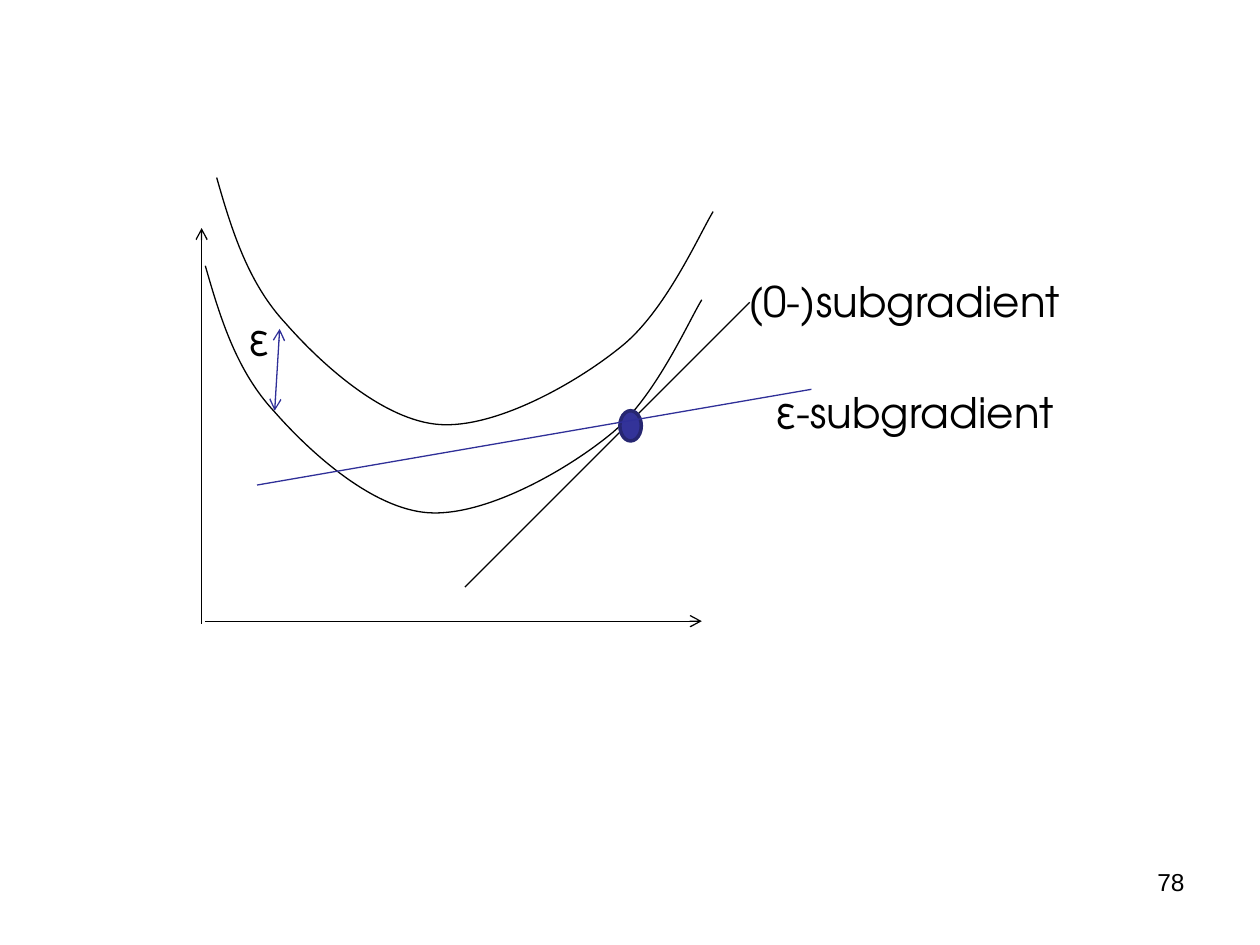
from lxml import etree
from pptx import Presentation
from pptx.dml.color import RGBColor
from pptx.enum.shapes import MSO_CONNECTOR, MSO_SHAPE
from pptx.enum.text import PP_ALIGN
from pptx.oxml.ns import qn
from pptx.util import Inches, Pt

STRAIGHT = MSO_CONNECTOR.STRAIGHT
DOT = MSO_SHAPE.FLOWCHART_CONNECTOR
LEFT, RIGHT = PP_ALIGN.LEFT, PP_ALIGN.RIGHT

BLACK = RGBColor(0x00, 0x00, 0x00)
BLUE = RGBColor(0x2F, 0x2F, 0x98)
DOT_FILL = RGBColor(0x33, 0x33, 0x99)
DOT_LINE = RGBColor(0x26, 0x26, 0x71)
LABEL_FONT = "TeX Gyre Adventor"

# Bezier control points of the convex function, from its upper left end;
# every third point lies on the curve
CONVEX = [(0, 0), (0.12, 0.42), (0.25, 0.84), (0.55, 1.16),
          (0.84, 1.49), (1.33, 1.93), (1.77, 1.96),
          (2.21, 1.99), (2.84, 1.64), (3.2, 1.35),
          (3.56, 1.07), (3.83, 0.45), (3.94, 0.27)]


def add_text(slide, text, x, y, w, h, size=24, font=LABEL_FONT, align=LEFT, wrap=False):
    tf = slide.shapes.add_textbox(Inches(x), Inches(y), Inches(w), Inches(h)).text_frame
    tf.word_wrap = wrap
    p = tf.paragraphs[0]
    p.alignment = align
    r = p.add_run()
    r.text = text
    r.font.size = Pt(size)
    r.font.name = font
    r.font.color.rgb = BLACK


def add_line(slide, x1, y1, x2, y2, color=BLACK, arrows=()):
    """Draw a line; arrows names its pointed ends, headEnd (start) before tailEnd."""
    line = slide.shapes.add_connector(STRAIGHT, Inches(x1), Inches(y1), Inches(x2), Inches(y2))
    line.line.color.rgb = color
    line.line.width = Pt(0.75)
    ln = line.line._get_or_add_ln()
    for end in arrows:
        etree.SubElement(ln, qn("a:" + end), type="arrow")
    etree.SubElement(line._element.spPr, qn("a:effectLst"))


def add_convex_curve(slide, x, y):
    """Build a freeform through the curve's knots, then bend each segment into a Bezier."""
    knots = [(Inches(x + dx), Inches(y + dy)) for dx, dy in CONVEX[::3]]
    builder = slide.shapes.build_freeform(*knots[0])
    builder.add_line_segments(knots[1:], close=False)
    curve = builder.convert_to_shape()
    curve.shadow.inherit = False
    curve.fill.background()
    curve.line.color.rgb = BLACK
    curve.line.width = Pt(0.75)
    for i, segment in enumerate(list(curve._element.iter(qn("a:lnTo")))):
        bezier = etree.Element(qn("a:cubicBezTo"))
        for dx, dy in CONVEX[3 * i + 1:3 * i + 4]:
            etree.SubElement(bezier, qn("a:pt"), x=str(Inches(dx)), y=str(Inches(dy)))
        segment.getparent().replace(segment, bezier)


def add_tangent_point(slide, x, y, w, h):
    dot = slide.shapes.add_shape(DOT, Inches(x), Inches(y), Inches(w), Inches(h))
    dot.shadow.inherit = False
    dot.fill.solid()
    dot.fill.fore_color.rgb = DOT_FILL
    dot.line.color.rgb = DOT_LINE
    dot.line.width = Pt(2)


def add_plot(slide, x, y, w, h):
    """Draw the axes, both curves, the subgradients and their labels."""
    bottom = y + h
    add_line(slide, x, bottom, x, y + 0.4, arrows=["tailEnd"])
    add_convex_curve(slide, x + 0.03, y + 0.7)
    add_line(slide, x + 0.03, bottom - 0.02, x + w, bottom - 0.02, arrows=["tailEnd"])
    add_convex_curve(slide, x + 0.12, y)
    add_line(slide, x + 4.35, y + 0.99, x + 2.09, y + 3.25)
    add_tangent_point(slide, x + 3.32, y + 1.85, 0.17, 0.24)
    add_line(slide, x + 0.62, y + 1.2, x + 0.58, y + 1.85, BLUE, ["headEnd", "tailEnd"])
    add_text(slide, "ε", x + 0.27, y + 1.03, 0.35, 0.5)
    add_line(slide, x + 4.84, y + 1.68, x + 0.44, y + 2.44, BLUE)
    add_text(slide, "ε-subgradient", x + 4.46, y + 1.61, 2.49, 0.5)
    add_text(slide, "(0-)subgradient", x + 4.24, y + 0.73, 2.7, 0.5)


def main():
    prs = Presentation()
    prs.slide_width, prs.slide_height = Inches(10), Inches(7.5)
    s = prs.slides.add_slide(prs.slide_layouts[6])
    add_text(s, "78", 7.17, 6.83, 2.33, 0.52, size=14, font="Arial", align=RIGHT, wrap=True)
    add_plot(s, 1.6, 1.41, 3.97, 3.54)
    prs.save("out.pptx")


if __name__ == "__main__":
    main()
